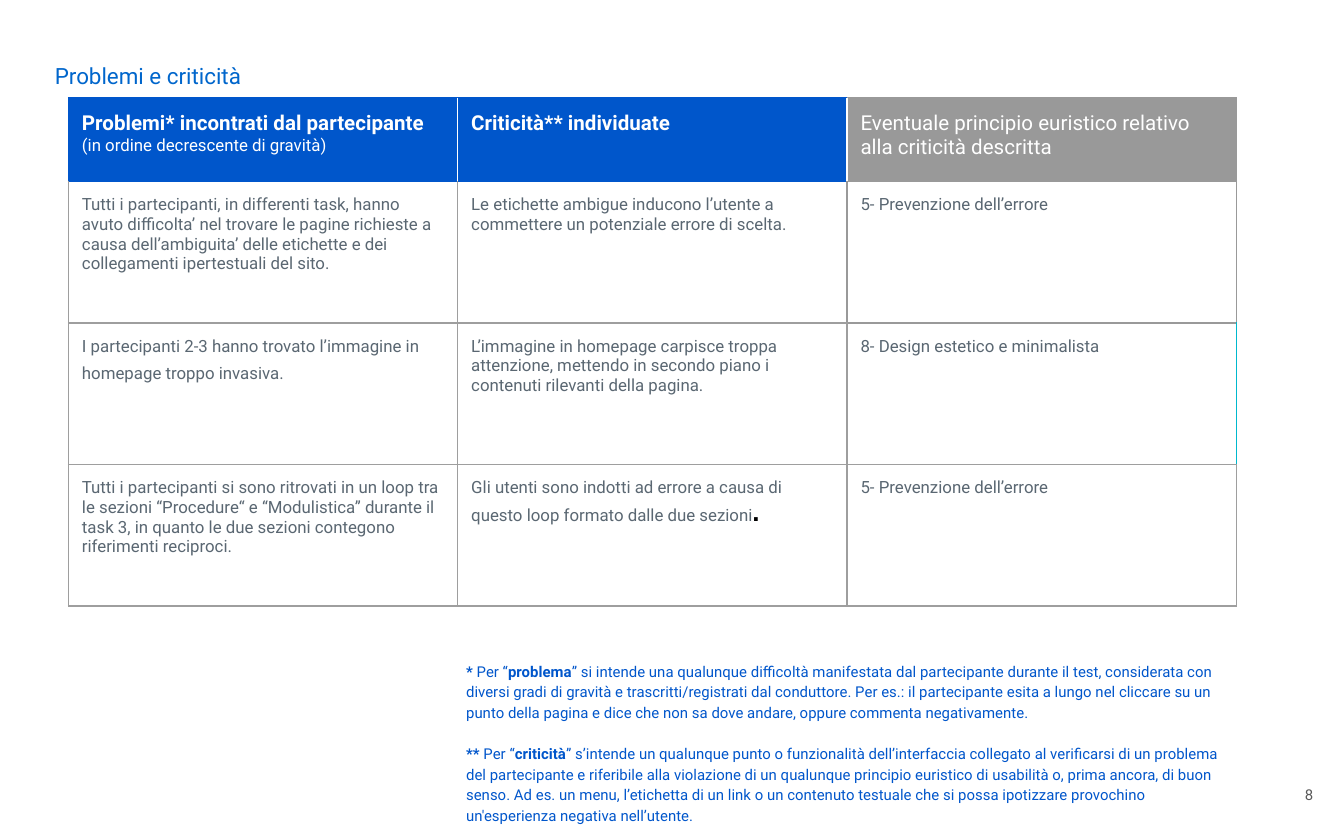
from pptx import Presentation
from pptx.dml.color import RGBColor
from pptx.enum.text import MSO_ANCHOR, PP_ALIGN
from pptx.oxml.ns import qn
from pptx.util import Emu, Inches, Pt
from lxml.etree import SubElement

BLUE = RGBColor(0x00, 0x56, 0xCB)
AZURE = RGBColor(0x00, 0x66, 0xCC)
TEAL = RGBColor(0x00, 0xB8, 0xCD)
GRAY = RGBColor(0x99, 0x99, 0x99)
RULE = RGBColor(0x9E, 0x9E, 0x9E)
SLATE = RGBColor(0x5A, 0x67, 0x72)
DARK = RGBColor(0x59, 0x59, 0x59)
WHITE = RGBColor(0xFF, 0xFF, 0xFF)
BLACK = RGBColor(0, 0, 0)


def look(size, color, bold=False, name="Roboto"):
    return dict(size=Pt(size), bold=bold, name=name), color


TITLE, PAGE = look(12, AZURE), look(8, DARK)
HEAD, LEAD, SUB = look(11, WHITE, True), look(11, WHITE), look(9, WHITE)
BODY, DOT = look(9, SLATE), look(14, BLACK, True, "Arial")
NOTE, TERM = look(8, BLUE), look(8, BLUE, True)


class Deck:
    """Draws text and tables on one slide, placed in percent of its size."""

    pad = Inches(0.1)
    line = Pt(0.75)

    def __init__(self, wide, high):
        self.prs = Presentation()
        self.prs.slide_width, self.prs.slide_height = Inches(wide), Inches(high)
        self.slide = self.prs.slides.add_slide(self.prs.slide_layouts[6])

    def x(self, share):
        return Emu(round(self.prs.slide_width * share / 100))

    def y(self, share):
        return Emu(round(self.prs.slide_height * share / 100))

    def area(self, left, top, wide, high):
        return self.x(left), self.y(top), self.x(wide), self.y(high)

    def inset(self, item):
        for side in ("left", "top", "right", "bottom"):
            setattr(item, "margin_" + side, self.pad)

    def fill_in(self, frame, paras, form):
        for i, runs in enumerate(paras):
            para = frame.paragraphs[0] if i == 0 else frame.add_paragraph()
            for key, value in form.items():
                setattr(para, key, value)
            if i == 0:
                para.space_before = Pt(0)
            for text, (font, color) in runs:
                for n, part in enumerate(text.split("\n")):
                    if n:
                        para.add_line_break()
                    run = para.add_run()
                    run.text = part
                    for key, value in font.items():
                        setattr(run.font, key, value)
                    run.font.color.rgb = color

    def text(self, area, paras, anchor=MSO_ANCHOR.TOP, **form):
        frame = self.slide.shapes.add_textbox(*self.area(*area)).text_frame
        frame.word_wrap = True
        frame.vertical_anchor = anchor
        self.inset(frame)
        self.fill_in(frame, paras, form)

    def edge(self, cell, colors):
        props = cell._tc.get_or_add_tcPr()
        for i, (side, color) in enumerate(zip("LRTB", colors)):
            rule = SubElement(props, qn("a:ln" + side), w=str(self.line))
            fill = SubElement(rule, qn("a:solidFill"))
            SubElement(fill, qn("a:srgbClr"), val=str(color))
            props.insert(i, rule)

    def table(self, area, rows, highs, fills, edges):
        frame = self.slide.shapes.add_table(len(rows), len(rows[0]), *self.area(*area))
        grid = frame.table
        grid.first_row = grid.horz_banding = False
        for col in grid.columns:
            col.width = self.x(area[2] / len(rows[0]))
        for r, row in enumerate(rows):
            grid.rows[r].height = self.y(highs[r])
            for c, paras in enumerate(row):
                cell = grid.cell(r, c)
                self.inset(cell)
                self.fill_in(cell.text_frame, paras, {})
                if fills[r][c] is None:
                    cell.fill.background()
                else:
                    cell.fill.solid()
                    cell.fill.fore_color.rgb = fills[r][c]
                self.edge(cell, edges.get((r, c), [RULE] * 4))


def plain(text):
    return [[(text, BODY)]]


ROWS = [
    [
        [[("Problemi* incontrati dal partecipante", HEAD)],
         [("(in ordine decrescente di gravità)", SUB)]],
        [[("Criticità** individuate", HEAD)]],
        [[("Eventuale principio euristico relativo \nalla criticità descritta", LEAD)]],
    ],
    [
        plain("Tutti i partecipanti, in differenti task, hanno avuto difficolta’ nel "
              "trovare le pagine richieste a causa dell’ambiguita’ delle etichette e "
              "dei collegamenti ipertestuali del sito."),
        plain("Le etichette ambigue inducono l’utente a commettere un potenziale "
              "errore di scelta."),
        plain("5- Prevenzione dell’errore"),
    ],
    [
        [[("I partecipanti 2-3 hanno trovato l’immagine in homepage troppo "
           "invasiva. ", BODY), (" ", DOT)]],
        plain("L’immagine in homepage carpisce troppa attenzione, mettendo in "
              "secondo piano i contenuti rilevanti della pagina."),
        plain("8- Design estetico e minimalista"),
    ],
    [
        plain("Tutti i partecipanti si sono ritrovati in un loop tra le sezioni "
              "“Procedure“ e “Modulistica” durante il task 3, in quanto le due "
              "sezioni contegono riferimenti reciproci."),
        [[("Gli utenti sono indotti ad errore a causa di questo loop formato "
           "dalle due sezioni", BODY), (".", DOT)]],
        plain("5- Prevenzione dell’errore"),
    ],
]
FILLS = [[BLUE, BLUE, GRAY]] + [[None, None, WHITE]] * 3
EDGES = {
    (0, 0): [BLUE, WHITE, BLUE, BLUE],
    (0, 1): [WHITE, WHITE, BLUE, BLUE],
    (0, 2): [WHITE, GRAY, GRAY, GRAY],
    (1, 0): [RULE, RULE, BLUE, RULE],
    (1, 1): [RULE, GRAY, BLUE, RULE],
    (1, 2): [GRAY] * 4,
    (2, 2): [RULE, TEAL, GRAY, RULE],
}
NOTES = [
    [("* ", TERM), ("Per “", NOTE), ("problema", TERM),
     ("” si intende una qualunque difficoltà manifestata dal partecipante durante "
      "il test, considerata con diversi gradi di gravità e trascritti/registrati "
      "dal conduttore. Per es.: il partecipante esita a lungo nel cliccare su un "
      "punto della pagina e dice che non sa dove andare, oppure commenta "
      "negativamente.", NOTE)],
    [("** ", TERM), ("Per “", NOTE), ("criticità", TERM),
     ("” s’intende un qualunque punto o funzionalità dell’interfaccia collegato al "
      "verificarsi di un problema del partecipante e riferibile alla violazione di "
      "un qualunque principio euristico di usabilità o, prima ancora, di buon "
      "senso. Ad es. un menu, l’etichetta di un link o un contenuto testuale che "
      "si possa ipotizzare provochino un'esperienza negativa nell’utente.", NOTE)],
]

deck = Deck(10, 6.25)
deck.text((92.7, 90.72, 6, 7.68), [[("8", PAGE)]], MSO_ANCHOR.MIDDLE,
          alignment=PP_ALIGN.RIGHT)
deck.text((3.1, 6.24, 42.4, 5.44), [[("Problemi e criticità", TITLE)]],
          MSO_ANCHOR.MIDDLE)
deck.table((5.1, 11.68, 86.9, 60.48), ROWS, [9.93] + [16.85] * 3, FILLS, EDGES)
deck.text((33.7, 76.96, 58.3, 9.92), NOTES, line_spacing=1.15, space_before=Pt(11))
deck.prs.save("out.pptx")
